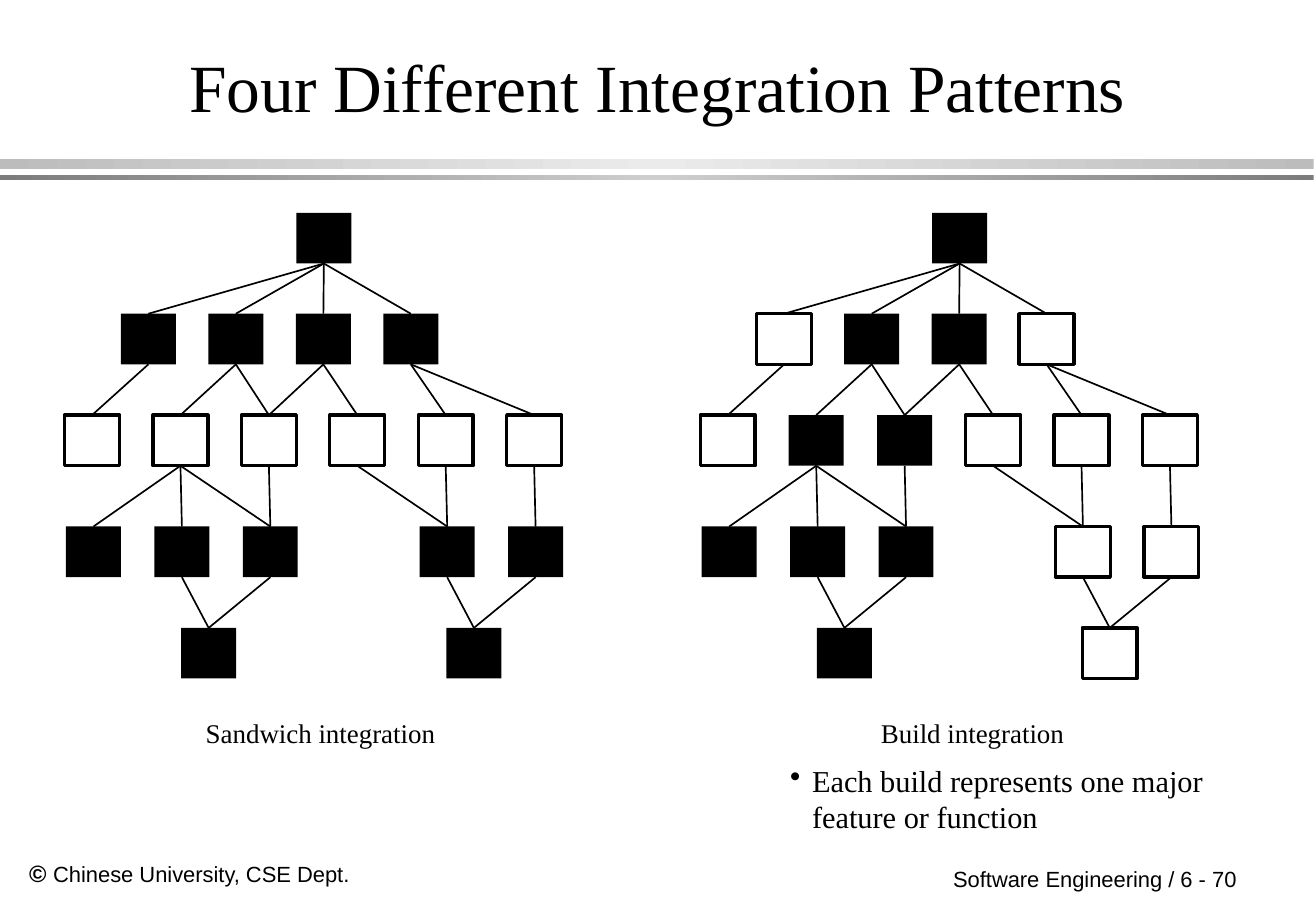
from copy import deepcopy

from lxml import etree
from pptx import Presentation
from pptx.dml.color import RGBColor
from pptx.enum.shapes import MSO_CONNECTOR, MSO_SHAPE
from pptx.enum.text import MSO_ANCHOR, PP_ALIGN
from pptx.oxml.ns import qn
from pptx.util import Cm, Pt

RECT = MSO_SHAPE.RECTANGLE
LINE = MSO_CONNECTOR.STRAIGHT
TOP, MID, LOW = MSO_ANCHOR.TOP, MSO_ANCHOR.MIDDLE, MSO_ANCHOR.BOTTOM
LEFT, CENTER = PP_ALIGN.LEFT, PP_ALIGN.CENTER

THEME = {
    "ink": RGBColor.from_string("000000"),
    "paper": RGBColor.from_string("FFFFFF"),
    "bars": [("BCBCBC", "EBEBEB"), ("7C7C7C", "CECECE")],
    "serif": "Times New Roman",
    "sans": "Arial",
    "title": 40,
    "point": 18,
    "label": 16,
    "mark": 14,
    "foot": 13,
    "edge": Pt(2),
    "link": Pt(1),
}

deck = Presentation()
deck.slide_width, deck.slide_height = Cm(27.53), Cm(19.05)
slide = deck.slides.add_slide(deck.slide_layouts[6])
shapes = slide.shapes


def add_rect(left, top, width, height):
    rect = shapes.add_shape(RECT, Cm(left), Cm(top), Cm(width), Cm(height))
    rect.shadow.inherit = False
    rect.line.fill.background()
    return rect


def add_text(area, runs, face, align=LEFT, anchor=TOP):
    frame = shapes.add_textbox(*map(Cm, area)).text_frame
    form = {
        "word_wrap": True,
        "vertical_anchor": anchor,
        "margin_left": Cm(0.25),
        "margin_right": Cm(0.25),
        "margin_top": Cm(0.13),
        "margin_bottom": Cm(0.13),
    }
    for key, value in form.items():
        setattr(frame, key, value)
    para = frame.paragraphs[0]
    para.alignment = align
    for words, size, bold in runs:
        run = para.add_run()
        run.text = words
        look = {"name": THEME[face], "size": Pt(THEME[size]), "bold": bold}
        for key, value in look.items():
            setattr(run.font, key, value)
        run.font.color.rgb = THEME["ink"]
    return para


for (top, height), (rim, core) in zip([(3.33, 0.2), (3.66, 0.1)], THEME["bars"]):
    bar = add_rect(0, top, 27.48, height)
    bar.fill.gradient()
    bar.fill.gradient_angle = 0
    stops = bar._element.spPr.find(qn("a:gradFill")).find(qn("a:gsLst"))
    stops.insert(1, deepcopy(stops[0]))
    for stop, tone, place in zip(bar.fill.gradient_stops, (rim, core, rim), (0, 0.5, 1)):
        stop.color.rgb = RGBColor.from_string(tone)
        stop.position = place

add_text((0.36, 17.83, 7.6, 0.84),
         [("© ", "mark", True), ("Chinese University, CSE Dept.", "foot", False)],
         "sans", anchor=MID)
add_text((19.69, 17.98, 7.6, 0.79),
         [("Software Engineering / 6 - 70", "foot", False)], "sans")
add_text((0.84, 1.07, 25.83, 1.7),
         [("Four Different Integration Patterns", "title", False)],
         "serif", CENTER, LOW)

point = add_text((16.28, 15.8, 10.08, 1.78),
                 [("Each build represents one major feature or function", "point", False)],
                 "serif")
props = point._p.get_or_add_pPr()
props.set("marL", str(Cm(0.46)))
props.set("indent", str(-Cm(0.46)))
etree.SubElement(props, qn("a:buChar")).set("char", "•")

WIDE, TALL = 1.15, 1.06
LEVELS = [
    (4.45, 6.2, 1.83, [0]),
    (6.56, 2.53, 1.83, [0, 1, 2, 3]),
    (8.68, 1.35, 1.85, [0, 1, 2, 3, 4, 5]),
    (11.01, 1.38, 1.85, [0, 1, 2, 4, 5]),
    (13.13, 3.79, 1.85, [0, 3]),
]
LINKS = [
    [(0, 0), (0, 1), (0, 2), (0, 3)],
    [(0, 0), (1, 1), (1, 2), (2, 2), (2, 3), (3, 4), (3, 5)],
    [(1, 0), (1, 1), (1, 2), (2, 2), (3, 4), (4, 4), (5, 5)],
    [(1, 0), (2, 0), (4, 3), (5, 3)],
]
TREES = [
    (0, "Sandwich integration", 3.1, [[], [], [0, 1, 2, 3, 4, 5], [], []]),
    (13.3, "Build integration", 16.74, [[], [0, 3], [0, 3, 4, 5], [4, 5], [3]]),
]

for shift, label, side, hollow in TREES:
    for (top, start, step, slots), blank in zip(LEVELS, hollow):
        for slot in slots:
            box = add_rect(shift + start + step * slot, top, WIDE, TALL)
            box.fill.solid()
            box.fill.fore_color.rgb = THEME["paper" if slot in blank else "ink"]
            if slot in blank:
                box.line.color.rgb = THEME["ink"]
                box.line.width = THEME["edge"]
    add_text((side, 14.86, 7.21, 0.94), [(label, "label", False)], "serif", CENTER)
    for upper, lower, pairs in zip(LEVELS, LEVELS[1:], LINKS):
        for head, child in pairs:
            ends = (
                shift + upper[1] + upper[2] * head + WIDE / 2,
                upper[0] + TALL,
                shift + lower[1] + lower[2] * child + WIDE / 2,
                lower[0],
            )
            link = shapes.add_connector(LINE, *map(Cm, ends))
            link.line.color.rgb = THEME["ink"]
            link.line.width = THEME["link"]
            etree.SubElement(link._element.spPr, qn("a:effectLst"))

deck.save("out.pptx")
